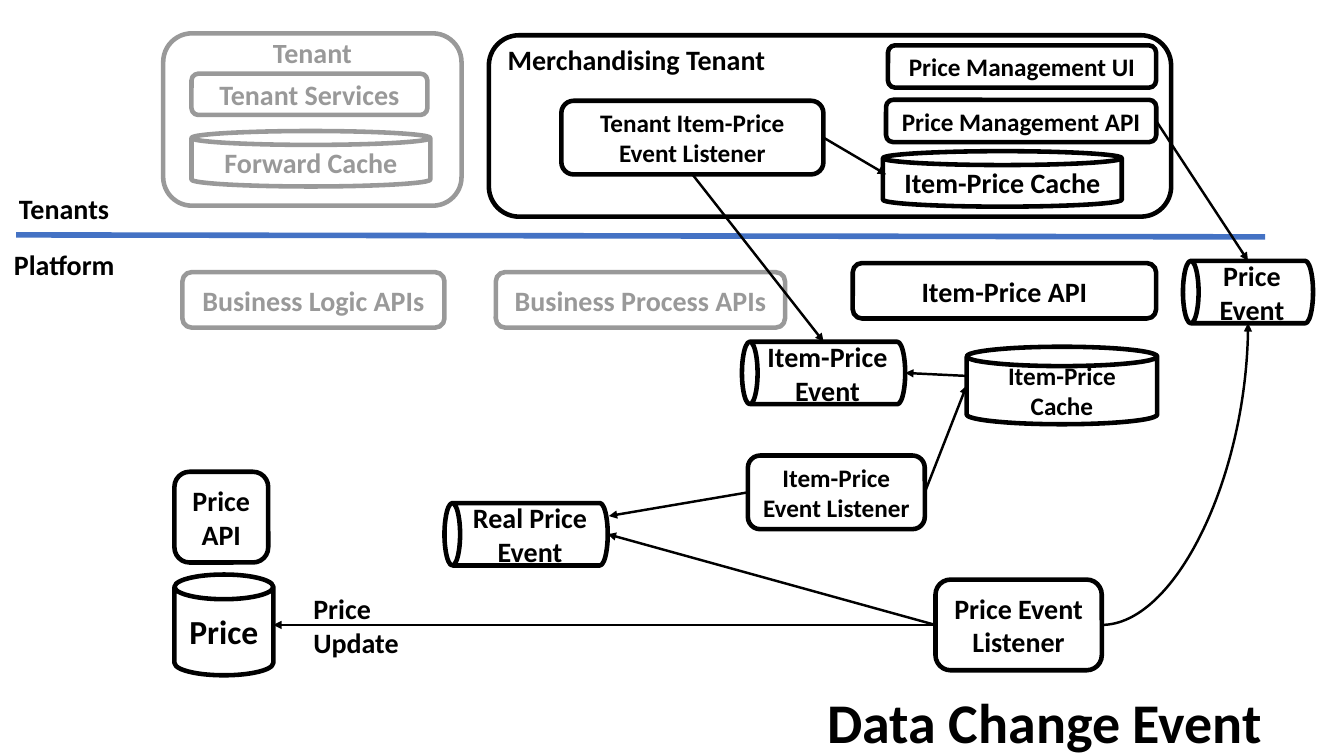
import pptx
import pptx.dml.color
import pptx.enum.shapes
import pptx.enum.text
import pptx.oxml.ns
import pptx.util
from lxml import etree

Pt = pptx.util.Pt
SHAPE = pptx.enum.shapes.MSO_SHAPE
CONNECTOR = pptx.enum.shapes.MSO_CONNECTOR
ALIGN = pptx.enum.text.PP_ALIGN
ANCHOR = pptx.enum.text.MSO_ANCHOR
qn = pptx.oxml.ns.qn

BLACK = pptx.dml.color.RGBColor(0, 0, 0)
BLUE = pptx.dml.color.RGBColor(0x44, 0x72, 0xC4)
FONT = "Calibri"
FADED, SOLID = 40, 100  # opacity in percent
TOP, LEFT, BOTTOM, RIGHT = range(4)
PIPE_MARGIN = 2.5

# Content: name, kind, text, font size, opacity, (left, top, width, height)
# A "pipe" is a can lying on its side; its box is the one seen on the slide.
NODES = [
    ("tenant", "box", "Tenant", 20, FADED, (116.6, 23.8, 213.1, 123.1)),
    ("forward cache", "can", "Forward Cache", 20, FADED, (136.8, 93.6, 170.6, 39.6)),
    ("tenant services", "box", "Tenant Services", 20, FADED, (136.8, 52.6, 168.5, 29.5)),
    ("logic apis", "box", "Business Logic APIs", 20, FADED, (130.3, 194.4, 187.2, 39.6)),
    ("process apis", "box", "Business Process APIs", 20, FADED, (354.2, 194.4, 206.6, 39.6)),
    ("item api", "box", "Item-Price API", 20, SOLID, (609.1, 187.9, 216.7, 39.6)),
    ("merchandising", "box", "Merchandising Tenant", 20, SOLID, (349.2, 25.2, 487.4, 129.6)),
    ("tenant cache", "can", "Item-Price Cache", 20, SOLID, (630.7, 108, 170.6, 39.6)),
    ("management api", "box", "Price Management API", 18, SOLID, (632.9, 71.3, 193, 30.2)),
    ("management ui", "box", "Price Management UI", 18, SOLID, (634.3, 32.4, 191.5, 30.2)),
    ("item cache", "can", "Item-Price Cache", 18, SOLID, (690.5, 247.7, 136.1, 55.4)),
    ("price api", "box", "Price\nAPI", 20, SOLID, (124.6, 337, 67, 64.8)),
    ("price store", "can", "Price", 24, SOLID, (124.6, 410.4, 70.6, 72)),
    ("price event", "pipe", "Price Event", 20, SOLID, (845, 186.3, 92.9, 44.6)),
    ("price listener", "box", "Price Event Listener", 20, SOLID, (668.2, 414, 118.8, 64.8)),
    ("real event", "pipe", "Real Price Event", 20, SOLID, (317.5, 359.3, 116.6, 44.6)),
    ("item listener", "box", "Item-Price Event Listener", 18, SOLID, (534.2, 325.4, 126.4, 52.6)),
    ("item event", "pipe", "Item-Price Event", 20, SOLID, (530, 244.1, 116.6, 44.6)),
    ("tenant listener", "box", "Tenant Item-Price Event Listener", 18, SOLID, (401, 72, 187.2, 52.6)),
]

# Container labels sit at the top: alignment and top margin
CONTAINERS = {"tenant": (ALIGN.CENTER, -4.5), "merchandising": (ALIGN.LEFT, -1.5)}

# Arrows run from a node's side to a node's side, or to a plain point
ARROWS = [
    (("management api", RIGHT), ("price event", TOP)),
    (("price listener", LEFT), ("price store", RIGHT)),
    (("price listener", LEFT), ("real event", RIGHT)),
    (("item listener", LEFT), (434.9, 368.6)),
    (("item listener", RIGHT), ("item cache", LEFT)),
    (("tenant listener", BOTTOM), ("item event", TOP)),
    (("tenant listener", RIGHT), (632.9, 124.6)),
    ((691.9, 268.6), ("item event", RIGHT)),
]

LABELS = [
    ("Tenants", (6.5, 133.2, 79.2, 31.7)),
    ("Platform", (2.9, 173.5, 87.8, 31.7)),
    ("Price\nUpdate", (216.7, 419, 76.3, 55.4)),
]
TITLE = ("Data Change Event", (583.9, 487.4, 328.3, 55.4))
DIVIDER = ((903.6, 169.2), (11.5, 167.8))

BOXES = {node[0]: node[-1] for node in NODES}
RECTANGLES = {node[0] for node in NODES if node[1] == "box"}


def set_opacity(fill_parent, percent):
    if percent < 100:
        for color in fill_parent.iter(qn("a:srgbClr")):
            etree.SubElement(color, qn("a:alpha")).set("val", str(percent * 1000))


def write(text_frame, text, size, align, opacity=SOLID):
    text_frame.text = text
    for paragraph in text_frame.paragraphs:
        paragraph.alignment = align
        for run in paragraph.runs:
            run.font.name, run.font.size, run.font.bold = FONT, Pt(size), True
            run.font.color.rgb = BLACK
            set_opacity(run._r, opacity)


def fit_text(text_frame):
    text_frame.word_wrap = False
    text_frame.auto_size = pptx.enum.text.MSO_AUTO_SIZE.SHAPE_TO_FIT_TEXT
    text_frame.vertical_anchor = ANCHOR.TOP


def lay_on_side(shape):
    shape.rotation = 270
    frame = shape.text_frame
    frame._txBody.bodyPr.set("vert", "vert")
    frame.margin_left = frame.margin_right = Pt(PIPE_MARGIN)
    frame.margin_top = frame.margin_bottom = Pt(PIPE_MARGIN)


def add_node(name, kind, text, size, opacity, box):
    left, top, width, height = box
    if kind == "pipe":  # turned about its centre
        left, top = left + (width - height) / 2, top + (height - width) / 2
        width, height = height, width
    preset = SHAPE.ROUNDED_RECTANGLE if kind == "box" else SHAPE.CAN
    shape = slide.shapes.add_shape(preset, Pt(left), Pt(top), Pt(width), Pt(height))
    shape.shadow.inherit = False
    shape.fill.background()
    shape.line.color.rgb, shape.line.width = BLACK, Pt(3.25)
    set_opacity(shape.line._get_or_add_ln(), opacity)
    align, margin = CONTAINERS.get(name, (ALIGN.CENTER, None))
    write(shape.text_frame, text, size, align, opacity)
    if margin is not None:
        shape.text_frame.vertical_anchor = ANCHOR.TOP
        shape.text_frame.margin_top = Pt(margin)
    if kind == "pipe":
        lay_on_side(shape)
    return shape


def locate(end):
    if not isinstance(end[0], str):
        return end
    left, top, width, height = BOXES[end[0]]
    across, down = {TOP: (0.5, 0), LEFT: (0, 0.5), BOTTOM: (0.5, 1), RIGHT: (1, 0.5)}[end[1]]
    return left + width * across, top + height * down


def add_line(start, end, color=BLACK, width=1.75, kind=CONNECTOR.STRAIGHT, arrow=True):
    points = [Pt(value) for value in (*locate(start), *locate(end))]
    line = slide.shapes.add_connector(kind, *points)
    line.line.color.rgb, line.line.width = color, Pt(width)
    if arrow:
        etree.SubElement(line.line._get_or_add_ln(), qn("a:tailEnd")).set("type", "triangle")
    etree.SubElement(line._element.spPr, qn("a:effectLst"))
    if kind == CONNECTOR.STRAIGHT and start[0] in RECTANGLES:
        line.begin_connect(shapes[start[0]], start[1])
    return line


presentation = pptx.Presentation()
presentation.slide_width, presentation.slide_height = Pt(960), Pt(540)
slide = presentation.slides.add_slide(presentation.slide_layouts[5])

# Title
title = slide.shapes.title
title.left, title.top, title.width, title.height = map(Pt, TITLE[1])
write(title.text_frame, TITLE[0], 40, ALIGN.LEFT)
fit_text(title.text_frame)

# Line between tenants and platform
add_line(*DIVIDER, color=BLUE, width=4, arrow=False)

# Boxes, caches and event pipes
shapes = {node[0]: add_node(*node) for node in NODES}

# Arrows, with one quarter curve
for start, end in ARROWS:
    add_line(start, end)
curve = add_line(("price listener", RIGHT), ("price event", BOTTOM), kind=CONNECTOR.CURVE)
curve._element.spPr.find(qn("a:prstGeom")).set("prst", "curvedConnector2")

# Free labels
for text, box in LABELS:
    label = slide.shapes.add_textbox(*map(Pt, box))
    write(label.text_frame, text, 20, ALIGN.LEFT)
    fit_text(label.text_frame)

presentation.save("out.pptx")
